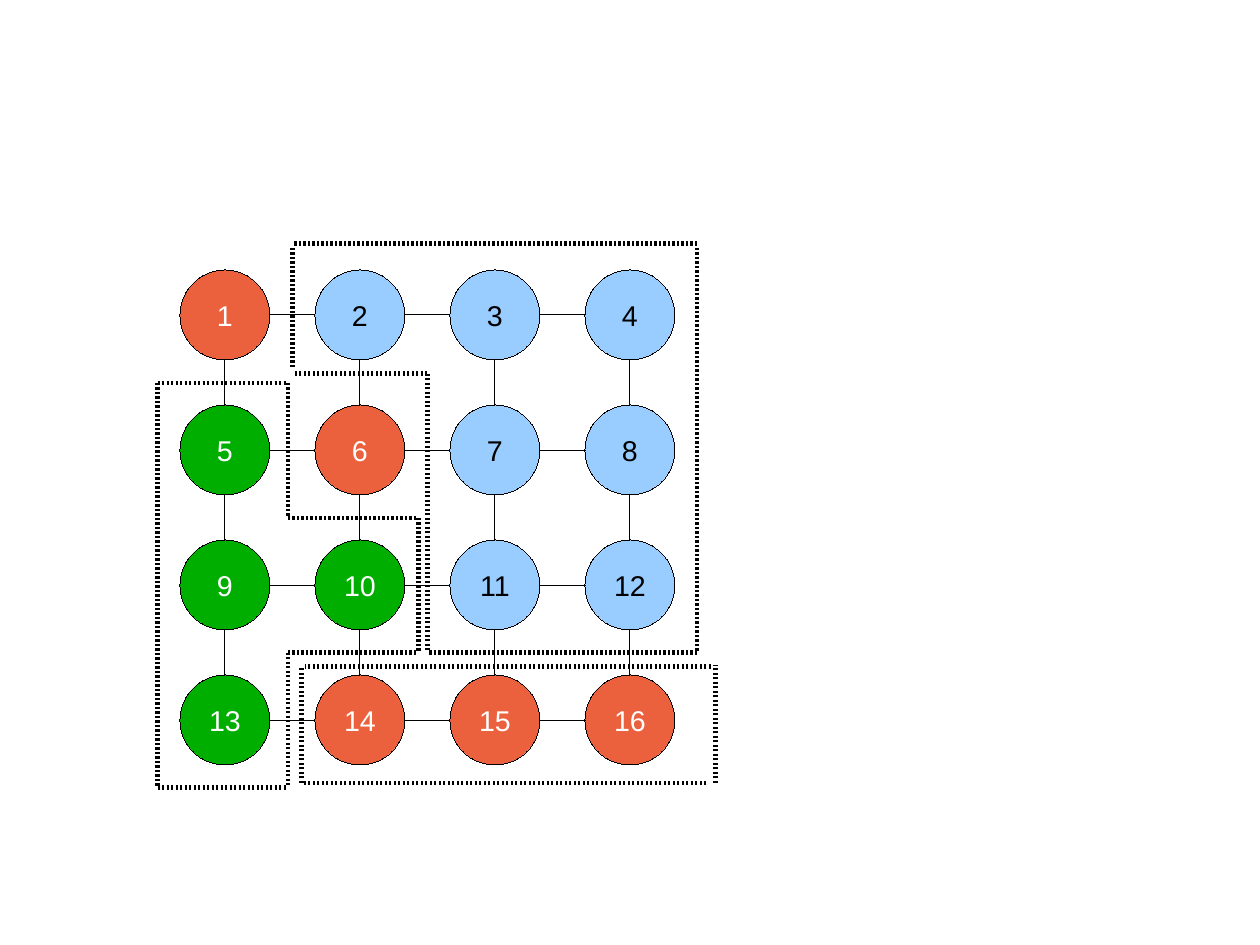
import pptx
import pptx.util
import pptx.dml.color
import pptx.enum.shapes
import pptx.enum.text
from lxml import etree
from pptx.oxml.ns import qn

Inches = pptx.util.Inches
Pt = pptx.util.Pt
RGBColor = pptx.dml.color.RGBColor

COLORS = {
    "red": "EB613D",
    "blue": "99CCFF",
    "green": "00AE00",
    "black": "000000",
    "white": "FFFFFF",
}
NODE_COLORS = [
    ["red", "blue", "blue", "blue"],
    ["green", "red", "blue", "blue"],
    ["green", "green", "blue", "blue"],
    ["green", "red", "red", "red"],
]
SIZE = 4
DIAMETER = 2 / 2.54
PITCH = 1.5 * DIAMETER
GRID_LEFT, GRID_TOP = 2 * DIAMETER, 3 * DIAMETER
HAIRLINE = 0.01

# Border segments of each region: x1, y1, x2, y2 in inches
REGION_BORDERS = {
    "green": [
        (1.38, 6.89, 2.52, 6.89),
        (1.38, 3.35, 2.52, 3.35),
        (2.52, 3.35, 2.52, 4.53),
        (2.52, 4.53, 3.66, 4.53),
        (3.66, 4.53, 3.66, 5.71),
        (2.52, 5.71, 3.66, 5.71),
        (2.52, 5.71, 2.52, 6.89),
        (1.38, 3.35, 1.38, 6.89),
    ],
    "blue": [
        (3.74, 3.27, 2.56, 3.27),
        (3.74, 3.27, 3.74, 5.71),
        (6.1, 5.71, 3.74, 5.71),
        (6.1, 2.17, 6.1, 5.71),
        (6.1, 2.13, 2.56, 2.13),
        (2.56, 2.17, 2.56, 3.23),
    ],
    "red": [
        (2.64, 6.85, 2.64, 5.83),
        (6.22, 5.83, 2.67, 5.83),
        (6.18, 6.85, 2.64, 6.85),
        (6.26, 6.85, 6.26, 5.82),
    ],
}

prs = pptx.Presentation()
prs.slide_width = Inches(14 * DIAMETER)
prs.slide_height = Inches(10.5 * DIAMETER)
slide = prs.slides.add_slide(prs.slide_layouts[6])


def color(name):
    return RGBColor.from_string(COLORS[name])


def add_line(x1, y1, x2, y2, width):
    line = slide.shapes.add_connector(
        pptx.enum.shapes.MSO_CONNECTOR.STRAIGHT,
        Inches(x1), Inches(y1), Inches(x2), Inches(y2))
    line.line.color.rgb = color("black")
    line.line.width = Pt(width)
    etree.SubElement(line._element.spPr, qn("a:effectLst"))
    return line


# Numbered nodes
for row, row_colors in enumerate(NODE_COLORS):
    for col, fill in enumerate(row_colors):
        node = slide.shapes.add_shape(
            pptx.enum.shapes.MSO_SHAPE.OVAL,
            Inches(GRID_LEFT + col * PITCH), Inches(GRID_TOP + row * PITCH),
            Inches(DIAMETER), Inches(DIAMETER))
        node.shadow.inherit = False
        node.fill.solid()
        node.fill.fore_color.rgb = color(fill)
        node.line.color.rgb = color("black")
        node.line.width = Pt(HAIRLINE)
        node.text_frame.vertical_anchor = pptx.enum.text.MSO_ANCHOR.MIDDLE
        label = node.text_frame.paragraphs[0]
        label.alignment = pptx.enum.text.PP_ALIGN.CENTER
        number = label.add_run()
        number.text = str(row * SIZE + col + 1)
        for attribute, value in {"name": "Arial", "size": Pt(18)}.items():
            setattr(number.font, attribute, value)
        number.font.color.rgb = color("black" if fill == "blue" else "white")

# Links between neighbouring nodes
for lane in range(SIZE):
    center_x = GRID_LEFT + lane * PITCH + DIAMETER / 2
    center_y = GRID_TOP + lane * PITCH + DIAMETER / 2
    for gap in range(SIZE - 1):
        right_edge = GRID_LEFT + gap * PITCH + DIAMETER
        next_left = GRID_LEFT + (gap + 1) * PITCH
        add_line(right_edge, center_y, next_left, center_y, HAIRLINE)
        bottom_edge = GRID_TOP + gap * PITCH + DIAMETER
        next_top = GRID_TOP + (gap + 1) * PITCH
        add_line(center_x, next_top, center_x, bottom_edge, HAIRLINE)

# Dotted region borders
for segments in REGION_BORDERS.values():
    for segment in segments:
        border = add_line(*segment, 2.83)
        dashes = etree.SubElement(border.line._get_or_add_ln(), qn("a:custDash"))
        etree.SubElement(dashes, qn("a:ds"), d="50000", sp="50000")

prs.save("out.pptx")
